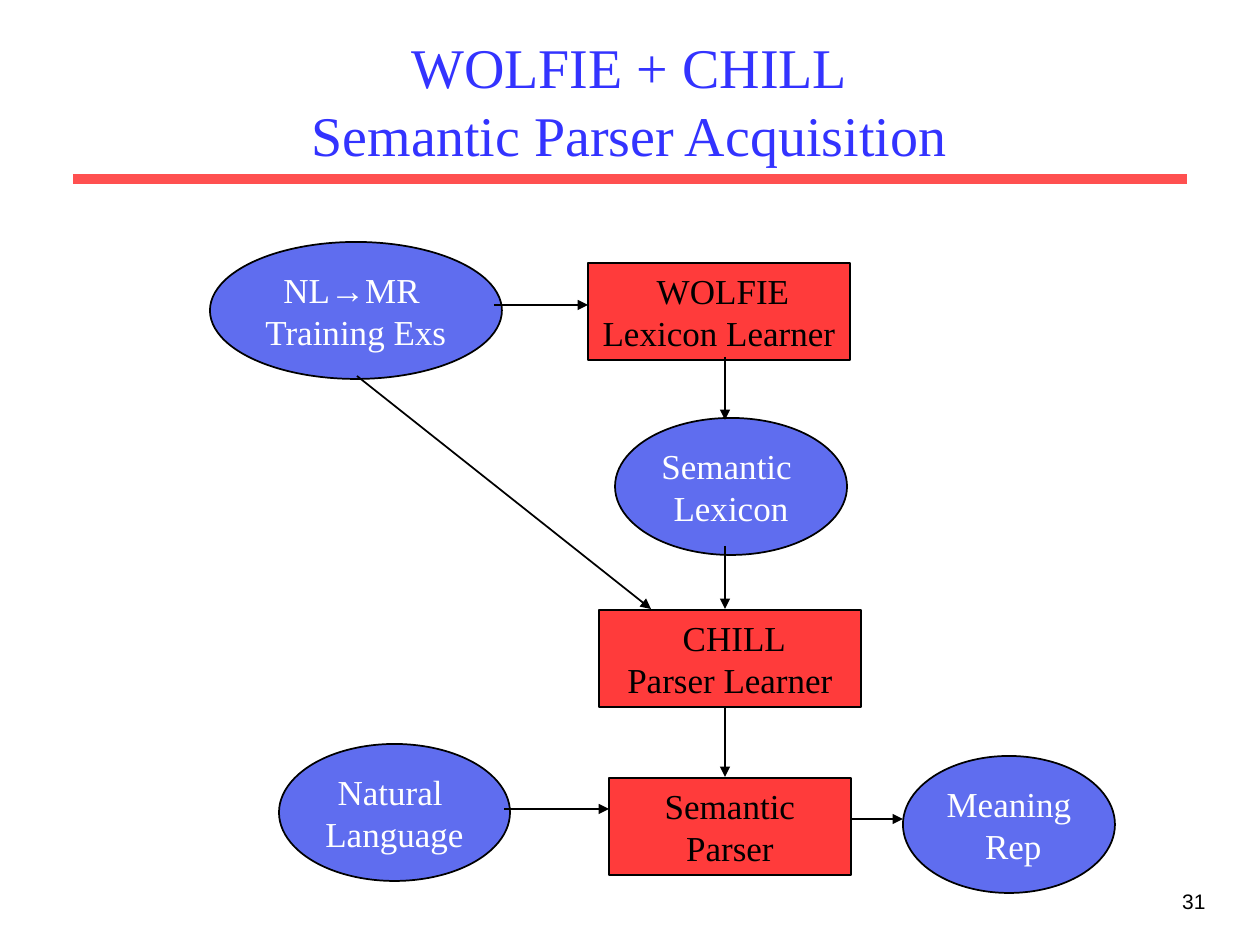
import pptx
import pptx.dml.color
import pptx.enum.shapes
import pptx.enum.text
import pptx.oxml.ns
import pptx.util
from dataclasses import dataclass
from lxml import etree

EMU_PER_PX = 914400 / 126
SHAPES = pptx.enum.shapes.MSO_SHAPE
ALIGN = pptx.enum.text.PP_ALIGN
ANCHOR = pptx.enum.text.MSO_ANCHOR


@dataclass(frozen=True)
class Theme:
    serif: str = "Times New Roman"
    sans: str = "Arial"
    title: str = "3333FF"
    rule: str = "FF5050"
    data: str = "5F6DEF"
    process: str = "FF3B3B"
    ink: str = "000000"
    paper: str = "FFFFFF"
    title_size: int = 32
    label_size: int = 20
    number_size: int = 12


THEME = Theme()
NODE_STYLES = {
    "data": dict(preset=SHAPES.OVAL, fill=THEME.data, color=THEME.paper,
                 height=137, wrap=False),
    "process": dict(preset=SHAPES.RECTANGLE, fill=THEME.process,
                    color=THEME.ink, height=97, wrap=True),
}

# Kind, left, top, width, lines of text
NODES = [
    ("data", 210, 242, 292, ["NL→MR ", "Training Exs"]),
    ("process", 588, 263, 262, [" WOLFIE", "Lexicon Learner"]),
    ("data", 279, 744, 231, ["Natural ", "Language"]),
    ("data", 903, 756, 212, ["Meaning", " Rep"]),
    ("data", 615, 418, 232, ["Semantic ", "Lexicon"]),
    ("process", 609, 778, 242, ["Semantic", "Parser"]),
    ("process", 599, 610, 262, [" CHILL", "Parser Learner"]),
]

# Start x, start y, end x, end y
SPINE = 725
ARROWS = [
    (494, 305, 588, 305),
    (504, 809, 609, 809),
    (851, 819, 903, 819),
    (SPINE, 357, SPINE, 420),
    (SPINE, 546, SPINE, 609),
    (SPINE, 707, SPINE, 777),
    (357, 376, 651, 609),
]


def px(*lengths):
    return [pptx.util.Emu(round(length * EMU_PER_PX)) for length in lengths]


def rgb(value):
    return pptx.dml.color.RGBColor.from_string(value)


def apply_format(target, values):
    for name, value in values.items():
        setattr(target, name, value)


def format_frame(frame, anchor, wrap=True):
    apply_format(frame, dict(auto_size=pptx.enum.text.MSO_AUTO_SIZE.NONE,
                             word_wrap=wrap, vertical_anchor=anchor))


def write_text(paragraph, text, size, color, font, align):
    """Add text to a paragraph, setting any arrow sign in the sans font."""
    paragraph.alignment = align
    before, arrow, after = text.partition("→")
    for part in filter(None, (before, arrow, after)):
        run = paragraph.add_run()
        run.text = part
        apply_format(run.font, dict(
            name=THEME.sans if part == "→" else font,
            size=pptx.util.Pt(size)))
        run.font.color.rgb = rgb(color)


def break_line(paragraph, size):
    """Add a line break that keeps the height of the text around it."""
    paragraph.add_line_break()
    line_break = paragraph._p.findall(pptx.oxml.ns.qn("a:br"))[-1]
    etree.SubElement(line_break, pptx.oxml.ns.qn("a:rPr"), sz=str(size * 100))


def add_title(slide, lines):
    title = slide.shapes.title
    left, top, width, height = px(94, 32, 1071, 136)
    apply_format(title, dict(left=left, top=top, width=width, height=height))
    format_frame(title.text_frame, ANCHOR.MIDDLE)
    paragraph = title.text_frame.paragraphs[0]
    for index, text in enumerate(lines):
        if index:
            break_line(paragraph, THEME.title_size)
        write_text(paragraph, text, THEME.title_size, THEME.title,
                   THEME.serif, ALIGN.CENTER)


def add_line(slide, start_x, start_y, end_x, end_y, color, weight, arrow=False):
    line = slide.shapes.add_connector(
        pptx.enum.shapes.MSO_CONNECTOR.STRAIGHT,
        *px(start_x, start_y, end_x, end_y))
    line.line.color.rgb = rgb(color)
    line.line.width = pptx.util.Pt(weight)
    if arrow:
        outline = line._element.spPr.find(pptx.oxml.ns.qn("a:ln"))
        etree.SubElement(outline, pptx.oxml.ns.qn("a:tailEnd"),
                         type="triangle")
    etree.SubElement(line._element.spPr, pptx.oxml.ns.qn("a:effectLst"))


def add_node(slide, kind, left, top, width, lines):
    style = NODE_STYLES[kind]
    node = slide.shapes.add_shape(
        style["preset"], *px(left, top, width, style["height"]))
    node.shadow.inherit = False
    node.fill.solid()
    node.fill.fore_color.rgb = rgb(style["fill"])
    node.line.color.rgb = rgb(THEME.ink)
    node.line.width = pptx.util.Pt(1)
    frame = node.text_frame
    format_frame(frame, ANCHOR.MIDDLE, style["wrap"])
    for index, text in enumerate(lines):
        paragraph = frame.add_paragraph() if index else frame.paragraphs[0]
        write_text(paragraph, text, THEME.label_size, style["color"],
                   THEME.serif, ALIGN.CENTER)


def add_page_number(slide, number):
    box = slide.shapes.add_textbox(*px(956, 882, 262, 63))
    format_frame(box.text_frame, ANCHOR.TOP)
    write_text(box.text_frame.paragraphs[0], number, THEME.number_size,
               THEME.ink, THEME.sans, ALIGN.RIGHT)


def main():
    presentation = pptx.Presentation()
    width, height = px(1260, 945)
    apply_format(presentation, dict(slide_width=width, slide_height=height))
    slide = presentation.slides.add_slide(presentation.slide_layouts[5])

    # Heading and page furniture
    add_line(slide, 73, 179, 1187, 179, THEME.rule, 6)
    add_page_number(slide, "31")
    add_title(slide, ["WOLFIE + CHILL", "Semantic Parser Acquisition"])

    # Flow diagram
    for node in NODES:
        add_node(slide, *node)
    for ends in ARROWS:
        add_line(slide, *ends, THEME.ink, 1, arrow=True)

    presentation.save("out.pptx")


if __name__ == "__main__":
    main()
